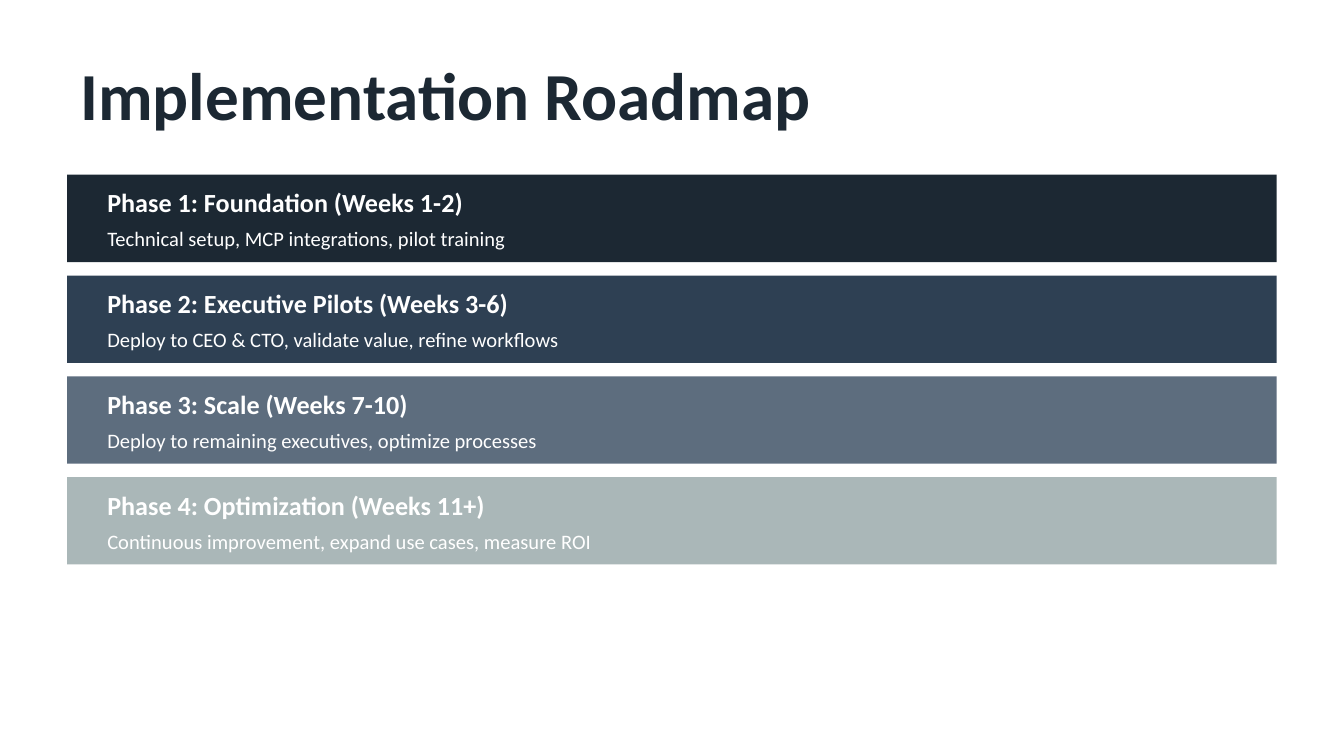
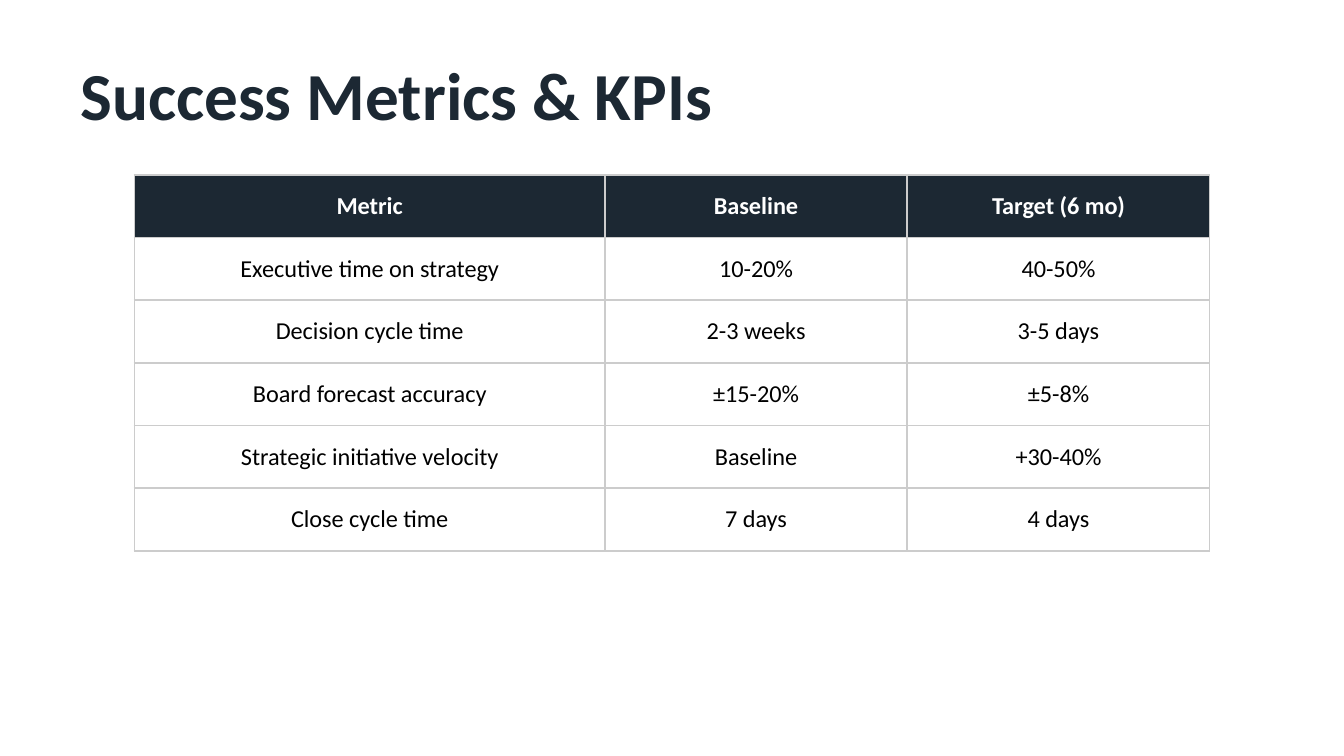
"""Build the roadmap and success metrics slides."""
from lxml import etree
from pptx import Presentation
from pptx.dml.color import RGBColor
from pptx.enum.shapes import MSO_SHAPE
from pptx.enum.text import MSO_ANCHOR, PP_ALIGN
from pptx.oxml.ns import qn
from pptx.util import Emu, Pt

RECTANGLE = MSO_SHAPE.RECTANGLE
MIDDLE = MSO_ANCHOR.MIDDLE
CENTER = PP_ALIGN.CENTER

EMU_PER_PX = 4572
SLIDE_WIDTH, SLIDE_HEIGHT = 2000, 1125
MARGIN = 100
CONTENT_WIDTH = SLIDE_WIDTH - 2 * MARGIN
CONTENT_TOP = 260
BLANK_LAYOUT = 6

FONT = "Calibri"
NAVY = RGBColor(0x1C, 0x28, 0x33)
BLUE = RGBColor(0x2E, 0x40, 0x53)
SLATE = RGBColor(0x5D, 0x6D, 0x7E)
MIST = RGBColor(0xAA, 0xB7, 0xB8)
GRID = RGBColor(0xCC, 0xCC, 0xCC)
WHITE = RGBColor(0xFF, 0xFF, 0xFF)
BLACK = RGBColor(0x00, 0x00, 0x00)

PHASE_HEIGHT, PHASE_GAP = 130, 20
PHASE_INDENT = 40
PHASES = [
    ("Phase 1: Foundation (Weeks 1-2)",
     "Technical setup, MCP integrations, pilot training", NAVY),
    ("Phase 2: Executive Pilots (Weeks 3-6)",
     "Deploy to CEO & CTO, validate value, refine workflows", BLUE),
    ("Phase 3: Scale (Weeks 7-10)",
     "Deploy to remaining executives, optimize processes", SLATE),
    ("Phase 4: Optimization (Weeks 11+)",
     "Continuous improvement, expand use cases, measure ROI", MIST),
]

METRICS_LEFT, METRICS_HEIGHT = 200, 560
METRICS_COLUMNS = [700, 450, 450]
METRICS = [
    ("Metric", "Baseline", "Target (6 mo)"),
    ("Executive time on strategy", "10-20%", "40-50%"),
    ("Decision cycle time", "2-3 weeks", "3-5 days"),
    ("Board forecast accuracy", "±15-20%", "±5-8%"),
    ("Strategic initiative velocity", "Baseline", "+30-40%"),
    ("Close cycle time", "7 days", "4 days"),
]


def px(length):
    """Turn pixels into EMU."""
    return Emu(length * EMU_PER_PX)


def box(left, top, width, height):
    """Turn a pixel rectangle into EMU."""
    return px(left), px(top), px(width), px(height)


def add_run(paragraph, text, size, color, bold=False):
    """Add one styled run to a paragraph."""
    run = paragraph.add_run()
    run.text = text
    run.font.name = FONT
    run.font.size = Pt(size)
    run.font.bold = bold
    run.font.color.rgb = color


def add_label(slide, bounds, text, size, color, bold=False):
    """Add a vertically centred line of text."""
    frame = slide.shapes.add_textbox(*box(*bounds)).text_frame
    frame.word_wrap = True
    frame.vertical_anchor = MIDDLE
    add_run(frame.paragraphs[0], text, size, color, bold)


def add_titled_slide(deck, title):
    """Add a white slide with the shared title style."""
    slide = deck.slides.add_slide(deck.slide_layouts[BLANK_LAYOUT])
    slide.background.fill.solid()
    slide.background.fill.fore_color.rgb = WHITE
    add_label(slide, (MARGIN, 80, CONTENT_WIDTH, 120), title, 36, NAVY, True)
    return slide


def add_phase(slide, top, heading, summary, color):
    """Add a phase band with its heading and summary."""
    band = slide.shapes.add_shape(
        RECTANGLE, *box(MARGIN, top, CONTENT_WIDTH, PHASE_HEIGHT))
    band.shadow.inherit = False
    band.fill.solid()
    band.fill.fore_color.rgb = color
    band.line.fill.background()
    left = MARGIN + PHASE_INDENT
    width = CONTENT_WIDTH - 2 * PHASE_INDENT
    add_label(slide, (left, top + 16, width, 50), heading, 14, WHITE, True)
    add_label(slide, (left, top + 70, width, 50), summary, 11, WHITE)


def add_borders(cell):
    """Draw a thin grid line on every side of a cell."""
    properties = cell._tc.get_or_add_tcPr()
    for side in ("a:lnL", "a:lnR", "a:lnT", "a:lnB"):
        line = etree.SubElement(properties, qn(side), w=str(Pt(1)))
        fill = etree.SubElement(line, qn("a:solidFill"))
        etree.SubElement(fill, qn("a:srgbClr"), val=str(GRID))


def fill_cell(cell, text, is_header):
    """Style a metrics cell and write its text."""
    add_borders(cell)
    cell.vertical_anchor = MIDDLE
    if is_header:
        cell.fill.solid()
        cell.fill.fore_color.rgb = NAVY
    else:
        cell.fill.background()
    paragraph = cell.text_frame.paragraphs[0]
    paragraph.alignment = CENTER
    add_run(paragraph, text, 13, WHITE if is_header else BLACK, is_header)


def add_metrics(slide):
    """Add the table of metrics with equal row heights."""
    bounds = box(METRICS_LEFT, CONTENT_TOP, sum(METRICS_COLUMNS), METRICS_HEIGHT)
    metrics = slide.shapes.add_table(
        len(METRICS), len(METRICS_COLUMNS), *bounds).table
    metrics.horz_banding = False
    for column, width in zip(metrics.columns, METRICS_COLUMNS):
        column.width = px(width)
    for row_index, texts in enumerate(METRICS):
        for column_index, text in enumerate(texts):
            fill_cell(metrics.cell(row_index, column_index), text, row_index == 0)


def main():
    """Build and save both slides."""
    deck = Presentation()
    deck.slide_width, deck.slide_height = px(SLIDE_WIDTH), px(SLIDE_HEIGHT)

    roadmap = add_titled_slide(deck, "Implementation Roadmap")
    for index, phase in enumerate(PHASES):
        add_phase(roadmap, CONTENT_TOP + index * (PHASE_HEIGHT + PHASE_GAP), *phase)

    add_metrics(add_titled_slide(deck, "Success Metrics & KPIs"))
    deck.save("out.pptx")


if __name__ == "__main__":
    main()
